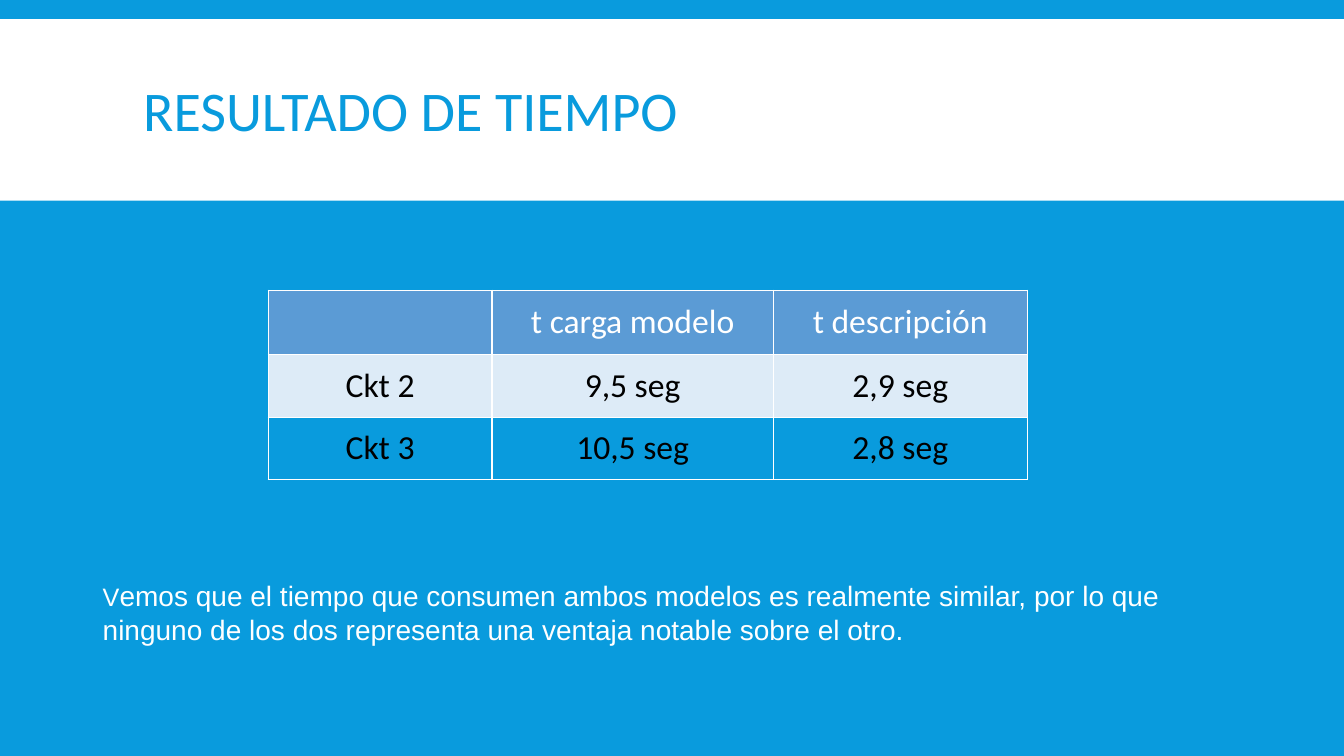
from lxml.etree import SubElement
from pptx import Presentation
from pptx.dml.color import RGBColor
from pptx.enum.shapes import MSO_SHAPE
from pptx.enum.text import MSO_ANCHOR, PP_ALIGN
from pptx.oxml.ns import qn
from pptx.util import Inches, Pt

TITLE = "RESULTADO DE TIEMPO"
TIMES = [
    ("", "t carga modelo", "t descripción"),
    ("Ckt 2", "9,5 seg", "2,9 seg"),
    ("Ckt 3", "10,5 seg", "2,8 seg"),
]
# The initial is set slightly smaller than the rest of the sentence.
CONCLUSION = [
    ("V", 18),
    ("emos que el tiempo que consumen ambos modelos es realmente similar, "
     "por lo que ninguno de los dos representa una ventaja notable sobre el otro.", 20),
]

BLUE, WHITE, BLACK = "099BDD", "FFFFFF", "000000"
ROW_STYLES = [("5B9BD5", WHITE), ("DDEBF7", BLACK), (None, BLACK)]  # fill, text

WIDTH, HEIGHT = 13.33, 7.5
BAND = (0, 0.19, WIDTH, 1.8)
TITLE_BOX = (1.32, 0.31, 10.7, 1.65)
TABLE_LEFT, TABLE_TOP = 2.66, 2.88
COLUMNS = [2.22, 2.79, 2.52]
ROWS = [0.64, 0.62, 0.62]
CONCLUSION_BOX = (0.92, 5.69, 11.48, 0.77)


def color(value):
    return RGBColor.from_string(value)


def inches(box):
    return [Inches(length) for length in box]


def style(font, name, size, value):
    font.name, font.size, font.bold = name, Pt(size), False
    font.color.rgb = color(value)


def paint(shape_fill, value):
    """Fill with a colour, or leave clear when there is none."""
    if value is None:
        shape_fill.background()
    else:
        shape_fill.solid()
        shape_fill.fore_color.rgb = color(value)


def add_borders(cell):
    properties = cell._tc.get_or_add_tcPr()
    for index, side in enumerate(("lnL", "lnR", "lnT", "lnB")):
        line = properties.makeelement(qn(f"a:{side}"), {"w": str(Pt(1))})
        fill = SubElement(line, qn("a:solidFill"))
        SubElement(fill, qn("a:srgbClr"), val=WHITE)
        properties.insert(index, line)


def add_title(slide):
    title = slide.shapes.title
    title.left, title.top, title.width, title.height = inches(TITLE_BOX)
    frame = title.text_frame
    frame.text = TITLE
    frame.vertical_anchor = MSO_ANCHOR.MIDDLE
    paragraph = frame.paragraphs[0]
    paragraph.alignment = PP_ALIGN.LEFT
    paragraph.line_spacing = 0.85
    style(paragraph.runs[0].font, "Calibri", 40, BLUE)

    band = slide.shapes.add_shape(MSO_SHAPE.RECTANGLE, *inches(BAND))
    band.shadow.inherit = False
    paint(band.fill, WHITE)
    band.line.fill.background()
    title.element.addprevious(band.element)  # band behind the title


def add_times(slide):
    box = (TABLE_LEFT, TABLE_TOP, sum(COLUMNS), sum(ROWS))
    table = slide.shapes.add_table(len(ROWS), len(COLUMNS), *inches(box)).table
    for column, width in zip(table.columns, COLUMNS):
        column.width = Inches(width)
    for row, height, texts, (fill, ink) in zip(table.rows, ROWS, TIMES, ROW_STYLES):
        row.height = Inches(height)
        for cell, text in zip(row.cells, texts):
            cell.text = text
            cell.vertical_anchor = MSO_ANCHOR.MIDDLE
            cell.margin_left = cell.margin_right = Inches(0.07)
            cell.margin_top = cell.margin_bottom = Inches(0.07)
            paragraph = cell.text_frame.paragraphs[0]
            paragraph.alignment = PP_ALIGN.CENTER
            style(paragraph.font, "Calibri", 24, ink)
            for run in paragraph.runs:
                style(run.font, "Calibri", 24, ink)
            paint(cell.fill, fill)
            add_borders(cell)


def add_conclusion(slide):
    frame = slide.shapes.add_textbox(*inches(CONCLUSION_BOX)).text_frame
    frame.word_wrap = True
    frame.vertical_anchor = MSO_ANCHOR.MIDDLE
    for text, size in CONCLUSION:
        run = frame.paragraphs[0].add_run()
        run.text = text
        style(run.font, "Arial", size, WHITE)


def main():
    deck = Presentation()
    deck.slide_width, deck.slide_height = inches((WIDTH, HEIGHT))
    slide = deck.slides.add_slide(deck.slide_layouts[5])
    paint(slide.background.fill, BLUE)
    add_title(slide)
    add_times(slide)
    add_conclusion(slide)
    deck.save("out.pptx")


if __name__ == "__main__":
    main()
